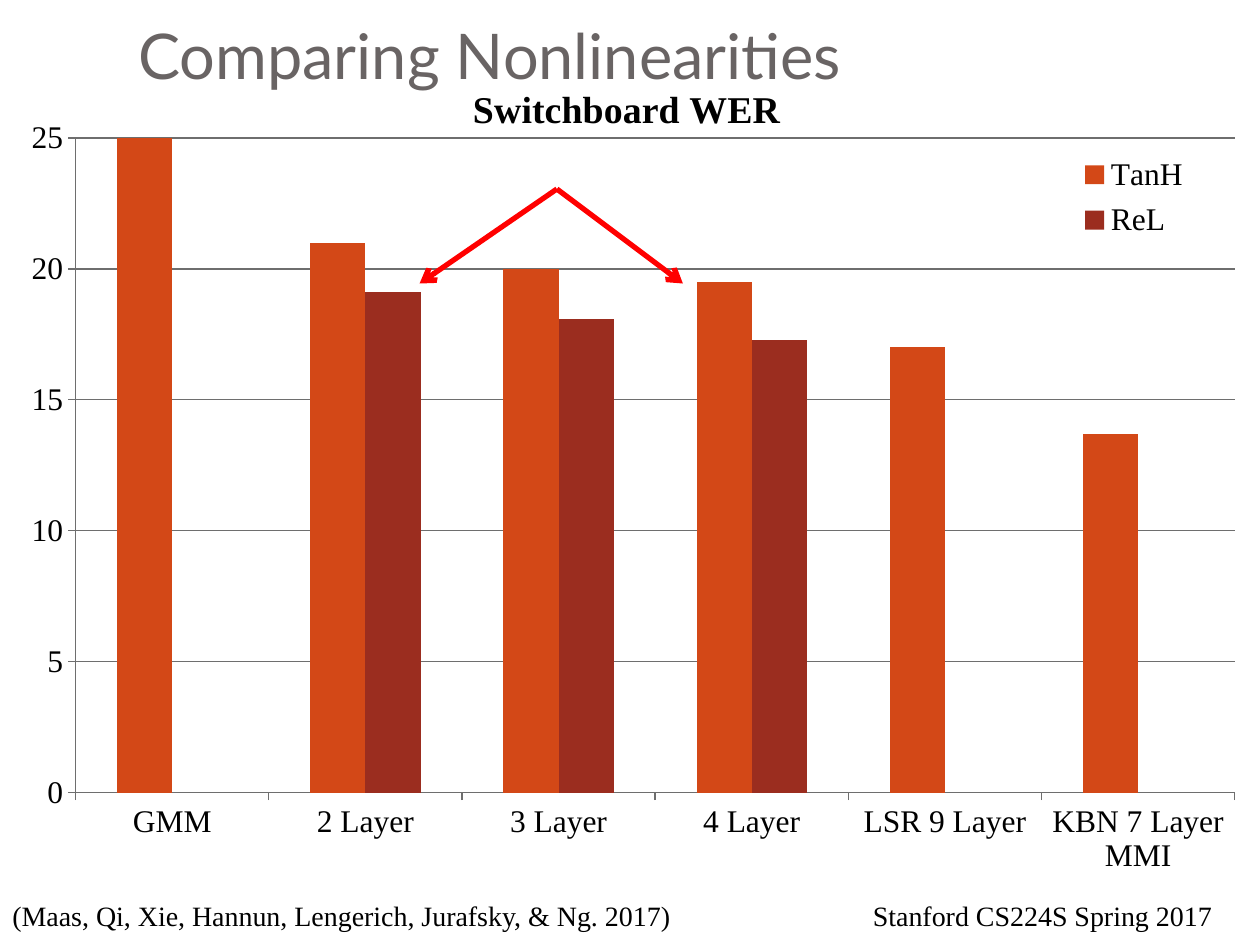
from lxml import etree
from pptx import Presentation
from pptx.chart.data import CategoryChartData
from pptx.dml.color import RGBColor
from pptx.enum.chart import XL_CHART_TYPE as ChartType
from pptx.enum.chart import XL_LEGEND_POSITION as LegendPosition
from pptx.enum.chart import XL_TICK_MARK as TickMark
from pptx.enum.shapes import MSO_CONNECTOR as Connector
from pptx.enum.text import MSO_ANCHOR as Anchor
from pptx.oxml.ns import qn
from pptx.util import Inches, Pt

BLACK = RGBColor(0x00, 0x00, 0x00)
GRAY = RGBColor(0x69, 0x64, 0x64)
GRID = RGBColor(0x6E, 0x6E, 0x6E)
RED = RGBColor(0xFF, 0x00, 0x00)
ORANGE = RGBColor(0xD3, 0x48, 0x17)
MAROON = RGBColor(0x9B, 0x2D, 0x1F)

CATEGORIES = ["GMM", "2 Layer", "3 Layer", "4 Layer",
              "LSR 9 Layer", "KBN 7 Layer MMI"]
SERIES = [
    ("TanH", ORANGE, [25, 21, 20, 19.5, 17, 13.7]),
    ("ReL", MAROON, [None, 19.1, 18.1, 17.3, None, None]),
]


def set_layout(element, successor, x, y, width=None, height=None, inner=False):
    """Place a chart part by fractions of the chart, before its successor."""
    for old in element.findall(qn("c:layout")):
        element.remove(old)
    layout = etree.Element(qn("c:layout"))
    manual = etree.SubElement(layout, qn("c:manualLayout"))
    settings = [("layoutTarget", "inner")] if inner else []
    settings += [("xMode", "edge"), ("yMode", "edge"), ("x", x), ("y", y)]
    if width is not None:
        settings += [("w", width), ("h", height)]
    for tag, value in settings:
        etree.SubElement(manual, qn(f"c:{tag}")).set("val", str(value))
    if successor is None:
        element.insert(0, layout)
    else:
        element.find(qn(successor)).addprevious(layout)


class SlideBuilder:
    body_font = "Times New Roman"
    title_font = "Lato"

    def __init__(self, slide):
        self.slide = slide

    def text(self, text, left, top, width, height, size=16, name=body_font,
             color=BLACK, anchor=Anchor.TOP, bottom=0.05):
        box = self.slide.shapes.add_textbox(
            Inches(left), Inches(top), Inches(width), Inches(height))
        frame = box.text_frame
        frame.word_wrap = True
        frame.vertical_anchor = anchor
        frame.margin_bottom = Inches(bottom)
        frame.text = text
        font = frame.paragraphs[0].runs[0].font
        font.size, font.name = Pt(size), name
        font.color.rgb = color

    def arrow(self, start, end):
        connector = self.slide.shapes.add_connector(
            Connector.STRAIGHT, *map(Inches, start + end))
        connector.line.color.rgb = RED
        connector.line.width = Pt(3)
        properties = connector.element.find(qn("p:spPr"))
        outline = properties.find(qn("a:ln"))
        etree.SubElement(outline, qn("a:tailEnd")).set("type", "arrow")
        etree.SubElement(properties, qn("a:effectLst"))

    def column_chart(self, title, left, top, width, height):
        data = CategoryChartData()
        data.categories = CATEGORIES
        for name, _, values in SERIES:
            data.add_series(name, values)
        chart = self.slide.shapes.add_chart(
            ChartType.COLUMN_CLUSTERED, Inches(left), Inches(top),
            Inches(width), Inches(height), data).chart
        chart.font.size, chart.font.name = Pt(18), self.body_font
        chart.font.color.rgb = BLACK

        plot = chart.plots[0]
        plot.gap_width, plot.overlap = 150, 0
        plot.vary_by_categories = False
        for series, (_, color, _) in zip(plot.series, SERIES):
            series.format.fill.solid()
            series.format.fill.fore_color.rgb = color
            series.invert_if_negative = False

        value_axis = chart.value_axis
        value_axis.minimum_scale, value_axis.maximum_scale = 0, 25
        value_axis.major_unit = 5
        value_axis.has_major_gridlines = True
        value_axis.major_gridlines.format.line.color.rgb = GRID
        for axis in (value_axis, chart.category_axis):
            axis.major_tick_mark = TickMark.OUTSIDE
            axis.format.line.color.rgb = GRID

        chart.has_title = True
        frame = chart.chart_title.text_frame
        frame.text = title
        font = frame.paragraphs[0].runs[0].font
        font.size, font.bold, font.name = Pt(21.6), True, self.body_font
        font.color.rgb = BLACK
        chart.has_legend = True
        chart.legend.position = LegendPosition.RIGHT
        chart.legend.include_in_layout = False

        parts = chart.element.find(qn("c:chart"))
        title_part = parts.find(qn("c:title"))
        title_part.find(qn("c:overlay")).set("val", "1")
        set_layout(title_part, "c:overlay", 0.37, 0.03)
        set_layout(parts.find(qn("c:legend")), "c:overlay",
                   0.85, 0.11, 0.1, 0.12)
        set_layout(parts.find(qn("c:plotArea")), None,
                   0.06, 0.1, 0.92, 0.77, inner=True)


def main():
    presentation = Presentation()
    presentation.slide_width, presentation.slide_height = Inches(10), Inches(7.5)
    slide = presentation.slides.add_slide(presentation.slide_layouts[6])
    builder = SlideBuilder(slide)

    builder.text("Stanford CS224S Spring 2017", 6.83, 7.08, 3.17, 0.37)
    builder.column_chart("Switchboard WER", 0, 0.42, 10, 6.75)
    builder.text("Comparing Nonlinearities", 1, 0.3, 8.5, 0.53, size=36,
                 name=builder.title_font, color=GRAY,
                 anchor=Anchor.BOTTOM, bottom=0.1)
    for tip in ((3.33, 2.25), (5.42, 2.25)):
        builder.arrow((4.42, 1.5), tip)
    builder.text("(Maas, Qi, Xie, Hannun, Lengerich, Jurafsky, & Ng. 2017)",
                 0, 7.08, 6.17, 0.37)
    presentation.save("out.pptx")


if __name__ == "__main__":
    main()
